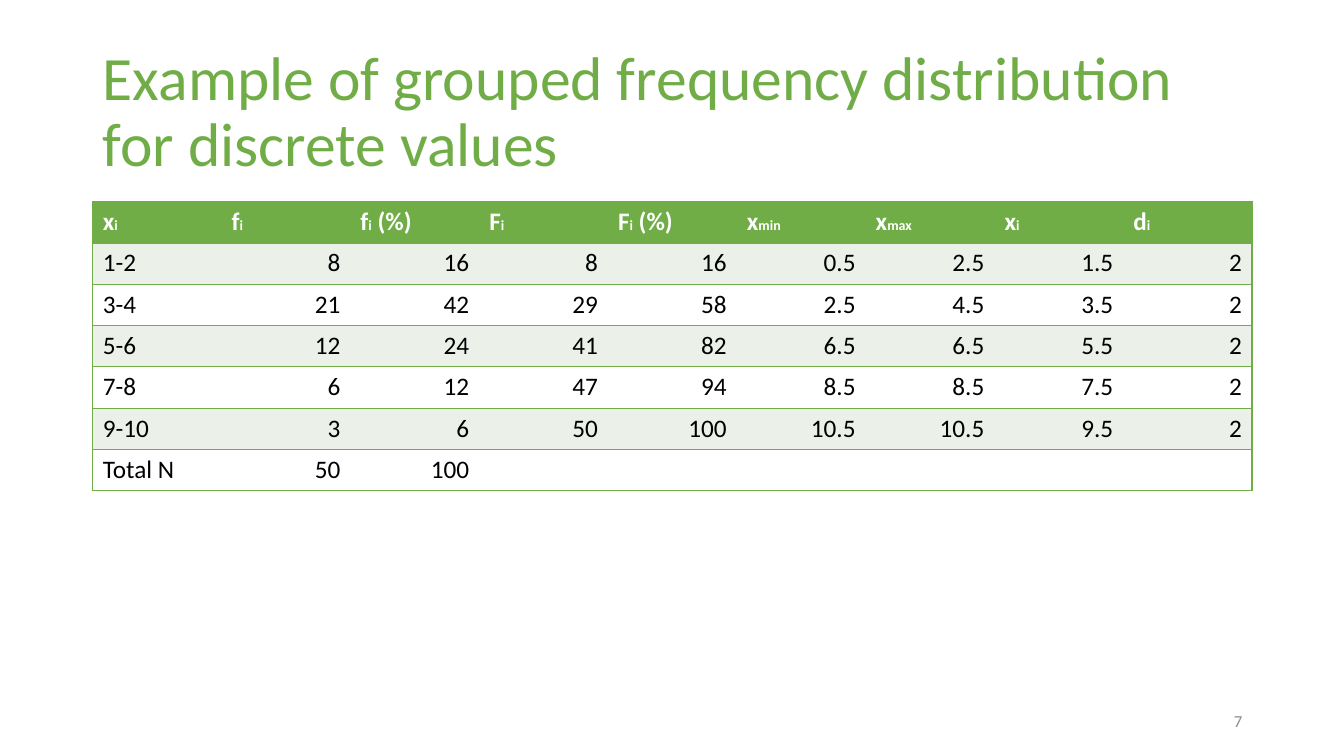
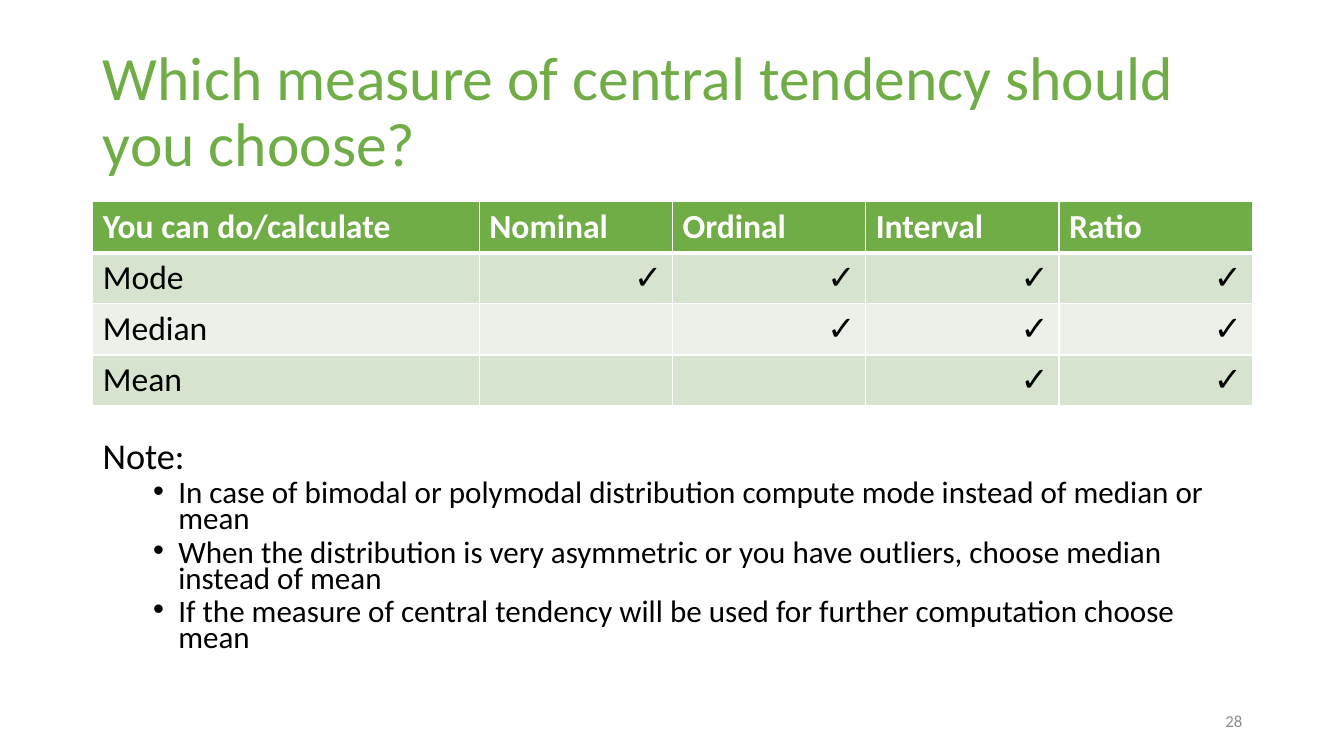
from pptx import Presentation
from pptx.dml.color import RGBColor
from pptx.enum.text import MSO_ANCHOR, MSO_AUTO_SIZE, PP_ALIGN
from pptx.oxml import parse_xml
from pptx.oxml.ns import nsdecls, qn
from pptx.util import Inches, Pt

# Shared look
GREEN, PALE, MID = "70AD47", "EBF1E9", "D5E3CF"
WHITE, BLACK, GREY = "FFFFFF", "000000", "8C8C8C"
FONT = "Calibri"
LEFT, WIDTH, TABLE_TOP = 0.92, 11.5, 2
NO_STYLE = "{2D5ABB26-0587-4C30-8999-92F81FD0307C}"


def rgb(hex_colour):
    return RGBColor.from_string(hex_colour)


def write(p, text, size=18, sub=10, color=BLACK, bold=False,
          align=PP_ALIGN.LEFT, spacing=None, before=None):
    """Fill a paragraph; parts between bars are set in the smaller size."""
    p.alignment, p.line_spacing = align, spacing
    if before is not None:
        p.space_before = Pt(before)
    for i, part in enumerate(text.split("|")):
        r = p.add_run()
        r.text = part
        r.font.name, r.font.bold = FONT, bold
        r.font.size = Pt(sub if i % 2 else size)
        r.font.color.rgb = rgb(color)


# Content of each slide
frequency = dict(
    title="Example of grouped frequency distribution for discrete values",
    number="7", size=18, row_height=0.41, weights=[1] * 9,
    bands=[PALE, WHITE], line=GREEN, header_rule=1, inner_verticals=False,
    rows=[
        ["x|i", "f|i", "f|i| (%)", "F|i", "F|i| (%)", "x|min", "x|max", "x|i", "d|i"],
        ["1-2", "8", "16", "8", "16", "0.5", "2.5", "1.5", "2"],
        ["3-4", "21", "42", "29", "58", "2.5", "4.5", "3.5", "2"],
        ["5-6", "12", "24", "41", "82", "6.5", "6.5", "5.5", "2"],
        ["7-8", "6", "12", "47", "94", "8.5", "8.5", "7.5", "2"],
        ["9-10", "3", "6", "50", "100", "10.5", "10.5", "9.5", "2"],
        ["Total N", "50", "100"] + [""] * 6,
    ])
measures = dict(
    title="Which measure of central tendency should you choose?",
    number="28", size=24, row_height=0.5, weights=[2, 1, 1, 1, 1],
    bands=[MID, PALE], line=WHITE, header_rule=3, inner_verticals=True,
    rows=[
        ["You can do/calculate", "Nominal", "Ordinal", "Interval", "Ratio"],
        ["Mode", "✓", "✓", "✓", "✓"],
        ["Median", "", "✓", "✓", "✓"],
        ["Mean", "", "", "✓", "✓"],
    ])
notes = [
    "In case of bimodal or polymodal distribution compute mode instead of median or mean",
    "When the distribution is very asymmetric or you have outliers, choose median instead of mean",
    "If the measure of central tendency will be used for further computation choose mean",
]

prs = Presentation()
prs.slide_width, prs.slide_height = Inches(13.33), Inches(7.5)

for d in (frequency, measures):
    s = prs.slides.add_slide(prs.slide_layouts[5])

    # Title
    sp = s.shapes.title
    sp.left, sp.top, sp.width, sp.height = map(Inches, (LEFT, 0.4, WIDTH, 1.45))
    tf = sp.text_frame
    tf.word_wrap, tf.auto_size = True, MSO_AUTO_SIZE.NONE
    tf.vertical_anchor = MSO_ANCHOR.MIDDLE
    write(tf.paragraphs[0], d["title"], size=44, color=GREEN, spacing=0.9)

    # Table
    rows, weights = d["rows"], d["weights"]
    last = len(weights) - 1
    frame = s.shapes.add_table(len(rows), len(weights), Inches(LEFT), Inches(TABLE_TOP),
                               Inches(WIDTH), Inches(d["row_height"] * len(rows)))
    tbl = frame.table
    tbl._tbl.tblPr.find(qn("a:tableStyleId")).text = NO_STYLE
    for col, weight in zip(tbl.columns, weights):
        col.width = Inches(WIDTH * weight / sum(weights))
    for i, values in enumerate(rows):
        for j, value in enumerate(values):
            cell = tbl.cell(i, j)
            # Borders come before the fill in the cell properties
            borders = {
                "L": 1 if j == 0 or d["inner_verticals"] else 0,
                "R": 1 if j == last or d["inner_verticals"] else 0,
                "T": d["header_rule"] if i == 1 else 1,
                "B": d["header_rule"] if i == 0 else 1,
            }
            tcPr = cell._tc.get_or_add_tcPr()
            for side, width in borders.items():
                if width:
                    tcPr.append(parse_xml(
                        f'<a:ln{side} {nsdecls("a")} w="{Pt(width)}"><a:solidFill>'
                        f'<a:srgbClr val="{d["line"]}"/></a:solidFill></a:ln{side}>'))
            cell.fill.solid()
            cell.fill.fore_color.rgb = rgb(GREEN if i == 0 else d["bands"][(i - 1) % 2])
            if value:
                write(cell.text_frame.paragraphs[0], value, size=d["size"],
                      color=BLACK if i else WHITE, bold=i == 0,
                      align=PP_ALIGN.RIGHT if i and j else PP_ALIGN.LEFT)

    # Slide number
    tf = s.shapes.add_textbox(*map(Inches, (LEFT + WIDTH - 3, 6.95, 3, 0.4))).text_frame
    tf.word_wrap, tf.vertical_anchor = True, MSO_ANCHOR.MIDDLE
    write(tf.paragraphs[0], d["number"], size=12, color=GREY, align=PP_ALIGN.RIGHT)

# Note under the last table
tf = s.shapes.add_textbox(*map(Inches, (LEFT, 4.37, WIDTH, 2.39))).text_frame
tf.word_wrap = True
write(tf.paragraphs[0], "Note:", size=25.9, spacing=0.7)
for note in notes:
    p = tf.add_paragraph()
    write(p, note, size=22.2, spacing=0.7, before=5)
    pPr = p._p.get_or_add_pPr()
    pPr.set("marL", str(Inches(0.75)))
    pPr.set("indent", str(Inches(-0.25)))
    pPr.append(parse_xml(f'<a:buFont {nsdecls("a")} typeface="Arial"/>'))
    pPr.append(parse_xml(f'<a:buChar {nsdecls("a")} char="•"/>'))

prs.save("out.pptx")
